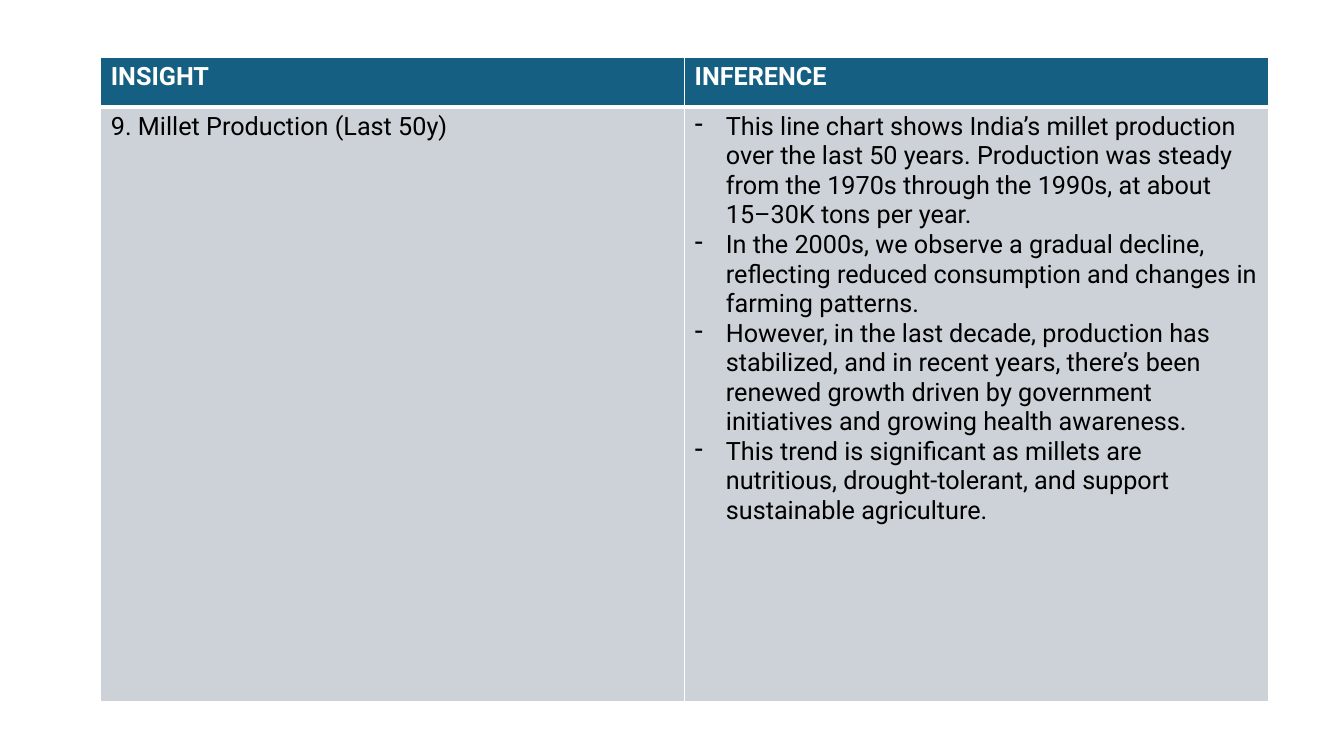
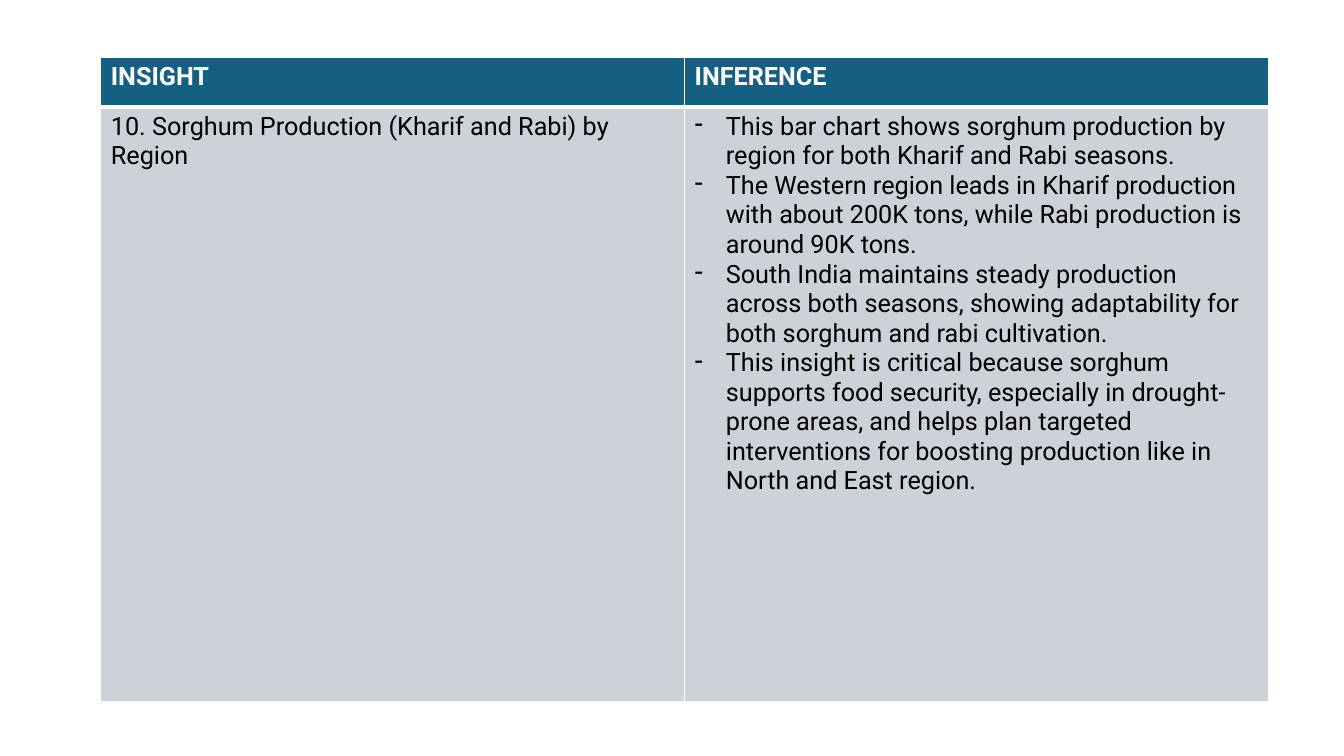
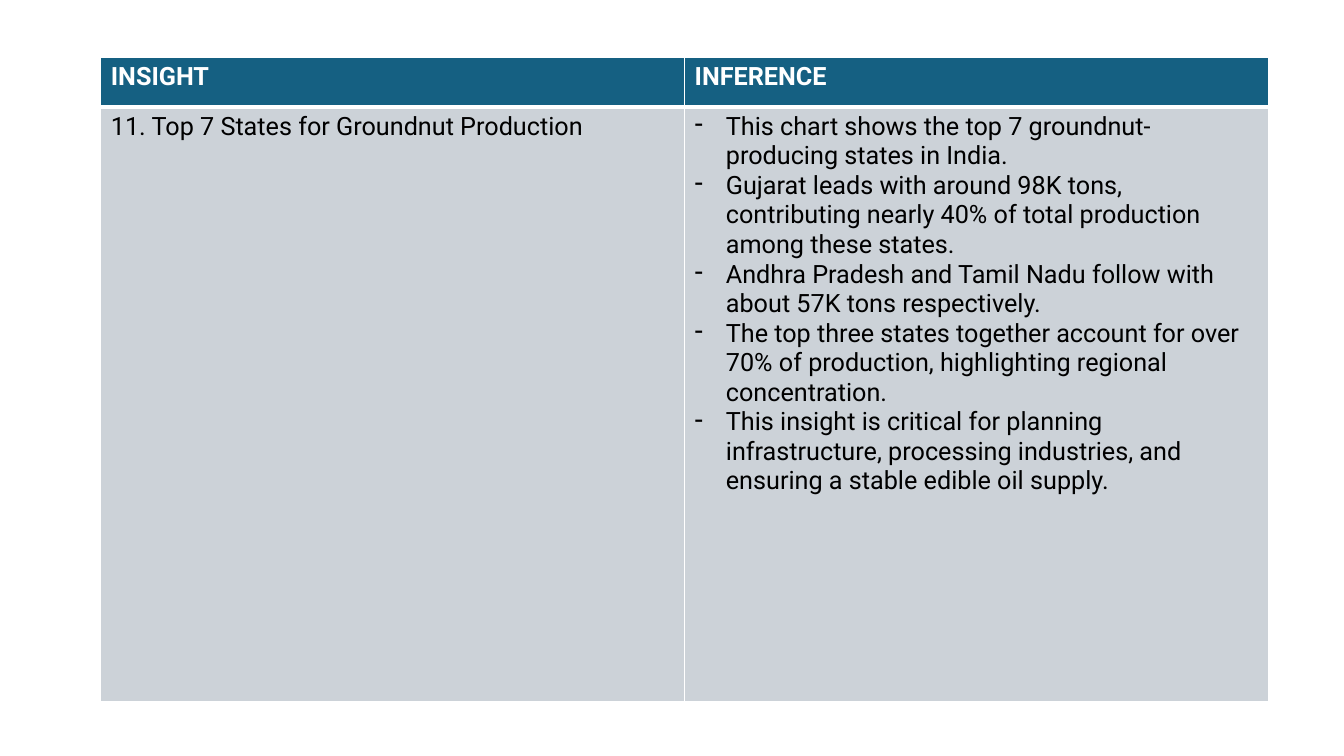
from lxml.etree import SubElement
from pptx import Presentation
from pptx.dml.color import RGBColor
from pptx.oxml.ns import qn
from pptx.util import Inches, Pt

COLOURS = {"header": "156082", "body": "CCD2D8", "white": "FFFFFF", "black": "000000"}
FONT = "Roboto"
FONT_SIZE = 18
SLIDE_SIZE = (13.33, 7.5)
TABLE_LEFT, TABLE_TOP = 1, 0.57
COLUMN_WIDTH = 5.79
ROW_HEIGHTS = (0.49, 5.9)
BULLET_INDENT = 0.31
THIN, THICK = 1, 3

HEADINGS = ("INSIGHT", "INFERENCE")
INSIGHTS = [
    ("9. Millet Production (Last 50y)", [
        "This line chart shows India’s millet production over the last 50 years. Production was "
        "steady from the 1970s through the 1990s, at about 15–30K tons per year.",
        "In the 2000s, we observe a gradual decline, reflecting reduced consumption and changes "
        "in farming patterns.",
        "However, in the last decade, production has stabilized, and in recent years, there’s "
        "been renewed growth driven by government initiatives and growing health awareness.",
        "This trend is significant as millets are nutritious, drought-tolerant, and support "
        "sustainable agriculture.",
    ]),
    ("10. Sorghum Production (Kharif and Rabi) by Region", [
        "This bar chart shows sorghum production by region for both Kharif and Rabi seasons.",
        "The Western region leads in Kharif production with about 200K tons, while Rabi "
        "production is around 90K tons.",
        "South India maintains steady production across both seasons, showing adaptability for "
        "both sorghum and rabi cultivation.",
        "This insight is critical because sorghum supports food security, especially in "
        "drought-prone areas, and helps plan targeted interventions for boosting production "
        "like in North and East region.",
    ]),
    ("11. Top 7 States for Groundnut Production", [
        "This chart shows the top 7 groundnut-producing states in India.",
        "Gujarat leads with around 98K tons, contributing nearly 40% of total production among "
        "these states.",
        "Andhra Pradesh and Tamil Nadu follow with about 57K tons respectively.",
        "The top three states together account for over 70% of production, highlighting "
        "regional concentration.",
        "This insight is critical for planning infrastructure, processing industries, and "
        "ensuring a stable edible oil supply.",
    ]),
]


def set_borders(cell, top, bottom):
    properties = cell._tc.get_or_add_tcPr()
    for side, width in (("L", THIN), ("R", THIN), ("T", top), ("B", bottom)):
        line = SubElement(properties, qn(f"a:ln{side}"), w=str(Pt(width)))
        fill = SubElement(line, qn("a:solidFill"))
        SubElement(fill, qn("a:srgbClr"), val=COLOURS["white"])


def add_bullet(paragraph):
    properties = paragraph._p.get_or_add_pPr()
    indent = Inches(BULLET_INDENT)
    properties.set("marL", str(indent))
    properties.set("indent", str(-indent))
    properties.insert(0, SubElement(properties, qn("a:buChar"), char="-"))


def fill_cell(cell, lines, is_header, bulleted):
    set_borders(cell, THIN if is_header else THICK, THICK if is_header else THIN)
    cell.fill.solid()
    cell.fill.fore_color.rgb = RGBColor.from_string(COLOURS["header" if is_header else "body"])
    cell.text = "\n".join(lines)
    for paragraph in cell.text_frame.paragraphs:
        font = paragraph.font
        font.name = FONT
        font.size = Pt(FONT_SIZE)
        font.bold = is_header
        font.color.rgb = RGBColor.from_string(COLOURS["white" if is_header else "black"])
        if bulleted:
            add_bullet(paragraph)


def add_insight_slide(presentation, insight, inferences):
    slide = presentation.slides.add_slide(presentation.slide_layouts[6])
    table = slide.shapes.add_table(
        len(ROW_HEIGHTS), len(HEADINGS), Inches(TABLE_LEFT), Inches(TABLE_TOP),
        Inches(COLUMN_WIDTH * len(HEADINGS)), Inches(sum(ROW_HEIGHTS)),
    ).table
    for row, height in zip(table.rows, ROW_HEIGHTS):
        row.height = Inches(height)
    for column, (heading, lines) in enumerate(zip(HEADINGS, ([insight], inferences))):
        fill_cell(table.cell(0, column), [heading], True, False)
        fill_cell(table.cell(1, column), lines, False, lines is inferences)


def main():
    presentation = Presentation()
    presentation.slide_width, presentation.slide_height = map(Inches, SLIDE_SIZE)
    for insight, inferences in INSIGHTS:
        add_insight_slide(presentation, insight, inferences)
    presentation.save("out.pptx")


if __name__ == "__main__":
    main()
